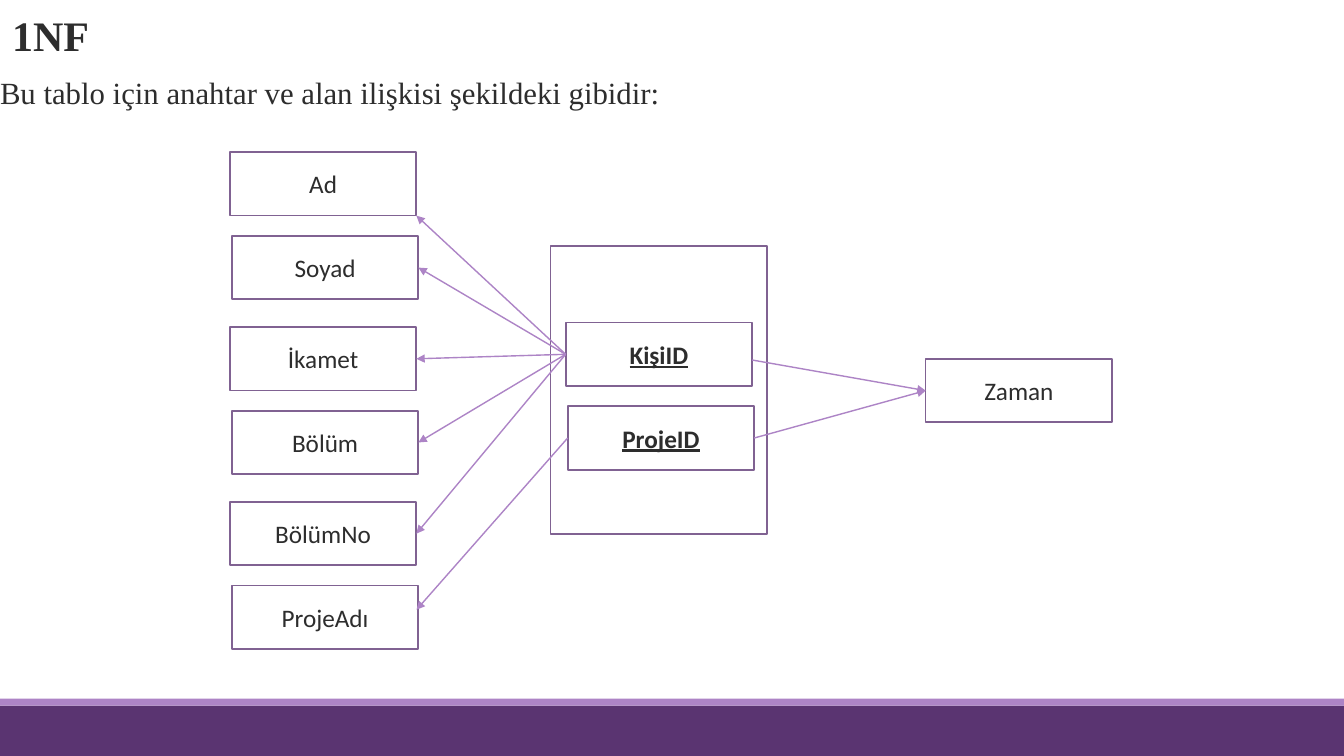
from pptx import Presentation
from pptx.dml.color import RGBColor
from pptx.enum.shapes import MSO_CONNECTOR, MSO_SHAPE
from pptx.enum.text import MSO_ANCHOR, MSO_AUTO_SIZE, PP_ALIGN
from pptx.oxml.ns import qn
from pptx.util import Inches, Pt
from lxml import etree

RECTANGLE = MSO_SHAPE.RECTANGLE
STRAIGHT = MSO_CONNECTOR.STRAIGHT
TOP, MIDDLE = MSO_ANCHOR.TOP, MSO_ANCHOR.MIDDLE
LEFT, CENTER, JUSTIFY = PP_ALIGN.LEFT, PP_ALIGN.CENTER, PP_ALIGN.JUSTIFY
FIT_NONE = MSO_AUTO_SIZE.NONE
LEFT_SITE, RIGHT_SITE = 1, 3


def rgb(value):
    return RGBColor.from_string(value)


class KeyDiagram:
    """Style and current slide; lengths are percent of the slide's size."""

    INK, WHITE, BORDER = "2D2D2D", "FFFFFF", "806292"
    ACCENT, DARK = "AD84C6", "5A3471"
    SERIF, SANS = "Times New Roman", "Calibri"
    BOX_WIDTH, BOX_HEIGHT = 13.88, 8.4
    STAGGER_X, STAGGER_Y = 0.15, 11.07

    def __init__(self, deck):
        self.deck = deck
        self.slide = deck.slides.add_slide(deck.slide_layouts[1])

    def x(self, share):
        return round(self.deck.slide_width * share / 100)

    def y(self, share):
        return round(self.deck.slide_height * share / 100)

    def area(self, left, top, width, height):
        return self.x(left), self.y(top), self.x(width), self.y(height)

    def label(self, shape, text, font, size, align, anchor, bold=False, underline=False):
        frame = shape.text_frame
        frame.text = text
        frame.word_wrap = True
        frame.auto_size = FIT_NONE
        frame.vertical_anchor = anchor
        paragraph = frame.paragraphs[0]
        paragraph.alignment = align
        paragraph.space_before = Pt(0)
        style = paragraph.runs[0].font
        style.name, style.size = font, Pt(size)
        style.bold, style.underline = bold, underline
        style.color.rgb = rgb(self.INK)

    def heading(self, placeholder, text, area, size, align, anchor, bold=False):
        (placeholder.left, placeholder.top,
         placeholder.width, placeholder.height) = self.area(*area)
        self.label(placeholder, text, self.SERIF, size, align, anchor, bold)
        placeholder.text_frame.margin_left = placeholder.text_frame.margin_right = 0
        properties = placeholder.text_frame.paragraphs[0]._p.get_or_add_pPr()
        properties.set("marL", "0")
        properties.set("indent", "0")
        etree.SubElement(properties, qn("a:buNone"))

    def panel(self, area, fill, border=None):
        panel = self.slide.shapes.add_shape(RECTANGLE, *self.area(*area))
        panel.shadow.inherit = False
        panel.fill.solid()
        panel.fill.fore_color.rgb = rgb(fill)
        if border:
            panel.line.color.rgb = rgb(border)
            panel.line.width = Pt(1.25)
        else:
            panel.line.fill.background()
        return panel

    def field(self, name, left, top, key=False):
        area = left, top, self.BOX_WIDTH, self.BOX_HEIGHT
        field = self.panel(area, self.WHITE, self.BORDER)
        self.label(field, name, self.SANS, 18, CENTER, MIDDLE, key, key)
        return field

    def field_pair(self, names, left, top, key=False):
        return [self.field(name, left + i * self.STAGGER_X, top + i * self.STAGGER_Y, key)
                for i, name in enumerate(names)]

    def arrow(self, source, target, start=(0, 0.5), end=(1, 0.5)):
        """Draw from source to target; start and end are shares of each box."""
        points = [(box.left + round(box.width * across), box.top + round(box.height * down))
                  for box, (across, down) in ((source, start), (target, end))]
        arrow = self.slide.shapes.add_connector(STRAIGHT, *points[0], *points[1])
        glue = ((arrow.begin_connect, source, start), (arrow.end_connect, target, end))
        for connect, box, (across, down) in glue:
            if down == 0.5:
                connect(box, RIGHT_SITE if across else LEFT_SITE)
        arrow.line.color.rgb = rgb(self.ACCENT)
        arrow.line.width = Pt(1)
        properties = arrow._element.spPr
        etree.SubElement(properties.get_or_add_ln(), qn("a:tailEnd"), type="triangle")
        etree.SubElement(properties, qn("a:effectLst"))


def main():
    deck = Presentation()
    deck.slide_width, deck.slide_height = Inches(13.33), Inches(7.5)
    diagram = KeyDiagram(deck)

    # Footer bands
    diagram.panel((0, 93.33, 100, 6.67), diagram.DARK)
    diagram.panel((0, 92.4, 100, 0.93), diagram.ACCENT)

    # Title and introduction
    title, introduction = diagram.slide.placeholders
    diagram.heading(title, "1NF", (0.9, 0, 99.1, 9.07), 30, LEFT, MIDDLE, bold=True)
    diagram.heading(introduction, "Bu tablo için anahtar ve alan ilişkisi şekildeki gibidir:",
                    (0, 9.07, 98.12, 83), 22, JUSTIFY, TOP)

    # Composite key frame
    diagram.panel((40.96, 32.53, 16.13, 38.13), diagram.WHITE, diagram.BORDER)

    # Fields in staggered pairs
    pairs = [("Ad", "Soyad"), ("İkamet", "Bölüm"), ("BölümNo", "ProjeAdı")]
    fields = []
    for i, names in enumerate(pairs):
        fields += diagram.field_pair(names, 17.1, 20.13 + i * 23.13)
    first_name, *person_fields, project_name = fields

    # Keys and the field that depends on both
    person_key, project_key = diagram.field_pair(("KişiID", "ProjeID"), 42.09, 42.67, key=True)
    time = diagram.field("Zaman", 68.87, 47.47)

    # Dependencies
    diagram.arrow(person_key, first_name, end=(1, 1))
    for person_field in person_fields:
        diagram.arrow(person_key, person_field)
    diagram.arrow(project_key, project_name, end=(0.99, 0.38))
    diagram.arrow(person_key, time, start=(1, 0.59), end=(0, 0.5))
    diagram.arrow(project_key, time, start=(1, 0.5), end=(0, 0.5))

    deck.save("out.pptx")


if __name__ == "__main__":
    main()
